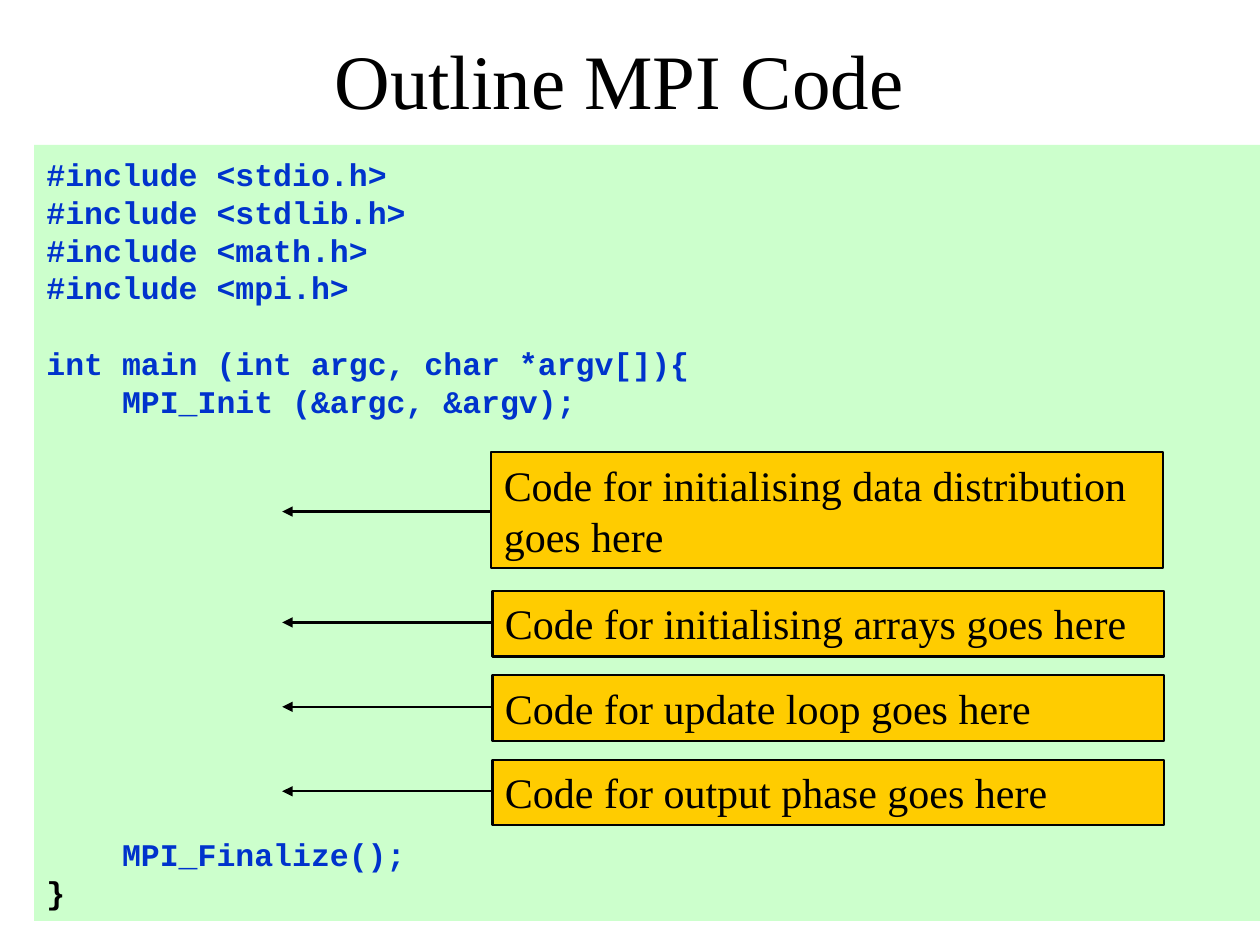
from lxml import etree
from pptx import Presentation
from pptx.dml.color import RGBColor
from pptx.enum.shapes import MSO_CONNECTOR, MSO_SHAPE
from pptx.enum.text import MSO_ANCHOR, PP_ALIGN
from pptx.oxml.ns import qn
from pptx.util import Inches, Pt

RECTANGLE = MSO_SHAPE.RECTANGLE
STRAIGHT = MSO_CONNECTOR.STRAIGHT
TOP, MIDDLE = MSO_ANCHOR.TOP, MSO_ANCHOR.MIDDLE
LEFT, CENTER = PP_ALIGN.LEFT, PP_ALIGN.CENTER

SERIF, MONO = "Times New Roman", "Courier New"
BLACK, BLUE, GREEN, AMBER = "000000", "0033CC", "CCFFCC", "FFCC00"
CODE_PITCH, NOTE_PITCH = 21.6, 29.2
INDENT = 0.6
NOTE_WIDTH = 5.33
NOTE_STEP = 0.67

CODE_LINES = [
    ("#include <stdio.h>", 0, 0, BLUE),
    ("#include <stdlib.h>", 0, 0, BLUE),
    ("#include <math.h>", 0, 0, BLUE),
    ("#include <mpi.h>", 0, 0, BLUE),
    ("int main (int argc, char *argv[]){", 0, 1, BLUE),
    ("MPI_Init (&argc, &argv);", 1, 0, BLUE),
    ("MPI_Finalize();", 1, 11, BLUE),
    ("}", 0, 0, BLACK),
]
SHORT_NOTES = [
    "Code for initialising arrays goes here",
    "Code for update loop goes here",
    "Code for output phase goes here",
]


def color(value):
    return RGBColor.from_string(value)


def style(para, name, size, value, align=LEFT, bold=False):
    para.alignment = align
    para.font.name = name
    para.font.size = Pt(size)
    para.font.bold = bold
    para.font.color.rgb = color(value)


def add_title(page, text):
    title = page.shapes.title
    title.left, title.top = Inches(0.25), 0
    title.width, title.height = Inches(9.33), Inches(1.25)
    title.text_frame.text = text
    title.text_frame.vertical_anchor = MIDDLE
    style(title.text_frame.paragraphs[0], SERIF, 44, BLACK, CENTER)


def add_box(page, left, top, width, height, fill):
    box = page.shapes.add_shape(
        RECTANGLE, Inches(left), Inches(top), Inches(width), Inches(height))
    box.shadow.inherit = False
    box.fill.solid()
    box.fill.fore_color.rgb = color(fill)
    box.line.fill.background()
    box.text_frame.word_wrap = True
    box.text_frame.vertical_anchor = TOP
    return box


def add_code(page):
    frame = add_box(page, 0.27, 1.15, 9.75, 6.16, GREEN).text_frame
    frame.margin_top = Inches(0.08)
    for number, (text, level, gap, value) in enumerate(CODE_LINES):
        para = frame.add_paragraph() if number else frame.paragraphs[0]
        para.text = text
        para.line_spacing = Pt(CODE_PITCH)
        para.space_before = Pt(gap * CODE_PITCH)
        para._p.get_or_add_pPr().set("marL", str(Inches(level * INDENT)))
        style(para, MONO, 18, value, bold=True)


def add_arrow(page, height):
    arrow = page.shapes.add_connector(
        STRAIGHT, Inches(3.99), Inches(height), Inches(2.24), Inches(height))
    arrow.line.color.rgb = color(BLACK)
    arrow.line.width = Pt(1.25)
    head = etree.SubElement(arrow.line._get_or_add_ln(), qn("a:tailEnd"))
    head.set("type", "triangle")
    etree.SubElement(arrow._element.spPr, qn("a:effectLst"))


def add_note(page, text, left, top, height, arrow_height):
    add_arrow(page, arrow_height)
    box = add_box(page, left, top, NOTE_WIDTH, height, AMBER)
    box.line.color.rgb = color(BLACK)
    box.line.width = Pt(1.25)
    para = box.text_frame.paragraphs[0]
    para.text = text
    para.line_spacing = Pt(NOTE_PITCH)
    style(para, SERIF, 24, BLACK)


def main():
    deck = Presentation()
    deck.slide_width, deck.slide_height = Inches(10), Inches(7.5)
    page = deck.slides.add_slide(deck.slide_layouts[5])
    add_title(page, "Outline MPI Code")
    add_code(page)
    add_note(page, "Code for initialising data distribution goes here",
             3.9, 3.59, 0.92, 4.06)
    for row, text in enumerate(SHORT_NOTES):
        top = 4.69 + row * NOTE_STEP
        add_note(page, text, 3.91, top, 0.52, top + 0.25)
    deck.save("out.pptx")


if __name__ == "__main__":
    main()
